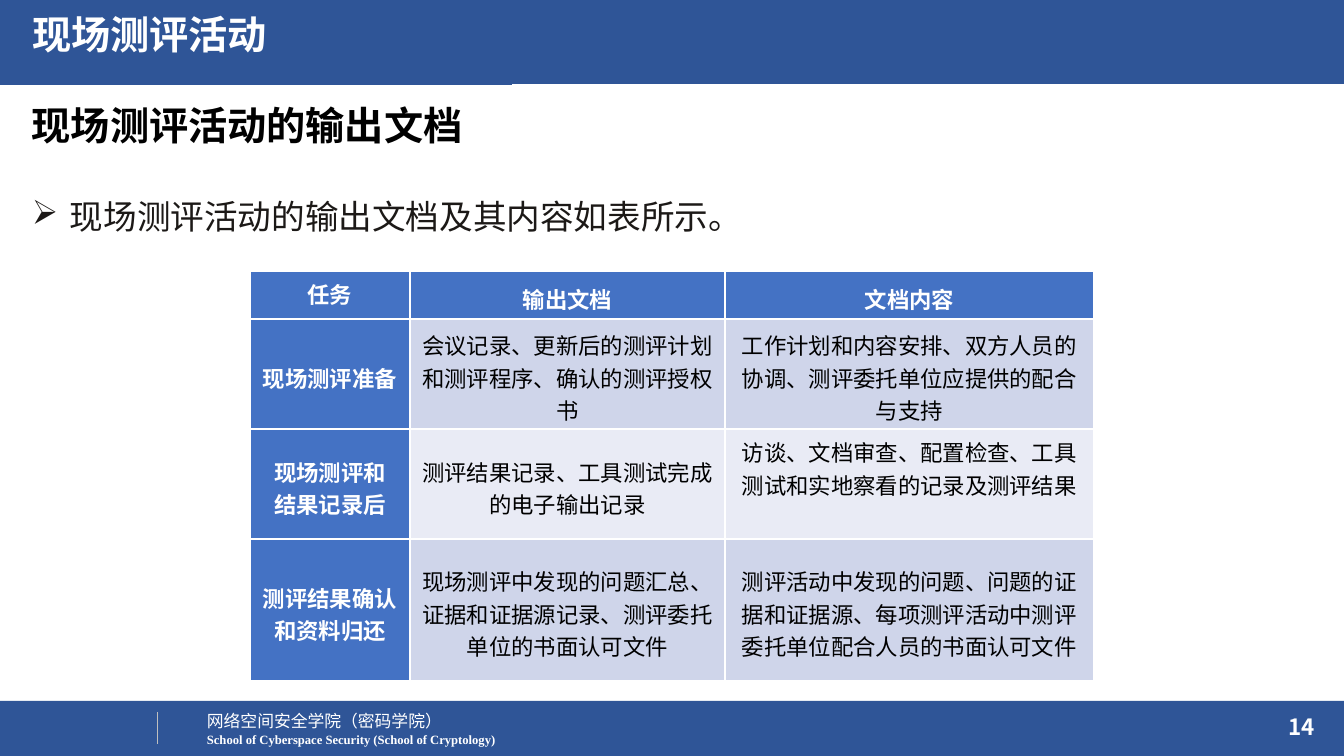
from lxml.etree import SubElement
from pptx import Presentation
from pptx.dml.color import RGBColor
from pptx.enum.lang import MSO_LANGUAGE_ID as Language
from pptx.enum.shapes import MSO_CONNECTOR as Connector, MSO_SHAPE as Shape
from pptx.enum.text import MSO_ANCHOR as Anchor, PP_ALIGN as Align
from pptx.oxml.ns import qn
from pptx.util import Emu, Pt

TITLE = "现场测评活动"
HEADING = "现场测评活动的输出文档"
INTRO = "现场测评活动的输出文档及其内容如表所示。"
SCHOOL = "网络空间安全学院（密码学院）"
SCHOOL_ENGLISH = "School of Cyberspace Security (School of Cryptology)"
PAGE_NUMBER = "14"
TABLE_ROWS = [
    ("任务", "输出文档", "文档内容"),
    ("现场测评准备",
     "会议记录、更新后的测评计划和测评程序、确认的测评授权书",
     "工作计划和内容安排、双方人员的协调、测评委托单位应提供的配合与支持"),
    ("现场测评和\n结果记录后",
     "测评结果记录、工具测试完成的电子输出记录",
     "访谈、文档审查、配置检查、工具测试和实地察看的记录及测评结果"),
    ("测评结果确认和资料归还",
     "现场测评中发现的问题汇总、证据和证据源记录、测评委托单位的书面认可文件",
     "测评活动中发现的问题、问题的证据和证据源、每项测评活动中测评委托单位配合人员的书面认可文件"),
]
COLUMN_WIDTHS = (160, 315, 369)
ROW_HEIGHTS = (48, 110, 110, 142)
TOP_ANCHORED = {(0, 0), (2, 2)}

NAVY = RGBColor(0x2F, 0x55, 0x97)
BLUE = RGBColor(0x44, 0x72, 0xC4)
BAND_DARK = RGBColor(0xCF, 0xD5, 0xEA)
BAND_LIGHT = RGBColor(0xE9, 0xEB, 0xF5)
RULE_GREY = RGBColor(0xBF, 0xBF, 0xBF)
INK = RGBColor(0x1C, 0x19, 0x17)
BLACK = RGBColor(0, 0, 0)
WHITE = RGBColor(255, 255, 255)
NOTO, CALIBRI, TIMES = "Noto Sans CJK SC", "Calibri", "Times New Roman"

SLIDE_WIDTH, SLIDE_HEIGHT = 1344, 756
EMU_PER_PX = 12192000 / SLIDE_WIDTH


def px(length):
    return Emu(round(length * EMU_PER_PX))


def style(para, size, color, bold=False, latin=NOTO, asian=NOTO, align=Align.LEFT):
    para.alignment = align
    font = para.font
    font.size, font.bold, font.name = Pt(size), bold, latin
    font.color.rgb = color
    font.language_id = Language.SIMPLIFIED_CHINESE
    SubElement(para._p.pPr.find(qn("a:defRPr")), qn("a:ea"), typeface=asian)


def add_band(page, left, top, width, height):
    band = page.shapes.add_shape(Shape.RECTANGLE, *map(px, (left, top, width, height)))
    band.shadow.inherit = False
    band.fill.solid()
    band.fill.fore_color.rgb = NAVY
    band.line.fill.background()


def add_text(page, text, left, top, width, height, wrap=True):
    box = page.shapes.add_textbox(*map(px, (left, top, width, height)))
    box.text_frame.word_wrap = wrap
    box.text_frame.text = text
    return box.text_frame.paragraphs[0]


def add_footer_rule(page):
    rule = page.shapes.add_connector(Connector.STRAIGHT, px(157), px(712), px(157), px(744))
    rule.line.color.rgb = RULE_GREY
    rule.line.width = Pt(0.5)
    SubElement(rule._element.spPr, qn("a:effectLst"))


def format_title(title):
    title.left, title.top, title.width, title.height = map(px, (22, 11, 849, 62))
    title.text_frame.text = TITLE
    title.text_frame.vertical_anchor = Anchor.TOP
    para = title.text_frame.paragraphs[0]
    para.line_spacing = 0.9
    style(para, 28, WHITE, bold=True)


def add_intro(page):
    para = add_text(page, INTRO, 22, 171, 1300, 80)
    para.line_spacing = 1.5
    props = para._p.get_or_add_pPr()
    props.set("marL", str(px(38)))
    props.set("indent", str(px(-38)))
    SubElement(props, qn("a:buChar"), char="➢")
    style(para, 24, INK, latin=CALIBRI, asian=CALIBRI)


def add_output_table(page):
    frame = page.shapes.add_table(
        len(TABLE_ROWS), len(COLUMN_WIDTHS), px(250), px(271),
        px(sum(COLUMN_WIDTHS)), px(sum(ROW_HEIGHTS)))
    table = frame.table
    table.first_col = True
    for column, width in zip(table.columns, COLUMN_WIDTHS):
        column.width = px(width)
    for r, (texts, height) in enumerate(zip(TABLE_ROWS, ROW_HEIGHTS)):
        table.rows[r].height = px(height)
        for c, text in enumerate(texts):
            cell = table.cell(r, c)
            is_header = r == 0 or c == 0
            cell.fill.solid()
            cell.fill.fore_color.rgb = (
                BLUE if is_header else BAND_DARK if r % 2 else BAND_LIGHT)
            cell.margin_left = cell.margin_right = cell.margin_top = px(7)
            cell.margin_bottom = 0
            cell.vertical_anchor = Anchor.TOP if (r, c) in TOP_ANCHORED else Anchor.MIDDLE
            cell.text_frame.text = text
            for para in cell.text_frame.paragraphs:
                style(para, 16, WHITE if is_header else BLACK, bold=is_header,
                      latin=CALIBRI, align=Align.CENTER)


def main():
    deck = Presentation()
    deck.slide_width, deck.slide_height = px(SLIDE_WIDTH), px(SLIDE_HEIGHT)
    page = deck.slides.add_slide(deck.slide_layouts[5])

    add_band(page, 0, 701, SLIDE_WIDTH, 55)
    add_band(page, 0, 0, SLIDE_WIDTH, 84)
    add_band(page, 0, 0, 512, 85)
    title = page.shapes.title
    page.shapes._spTree.append(title._element)  # bring the title in front of the bands
    format_title(title)

    style(add_text(page, SCHOOL, 197, 706, 258, 30, wrap=False), 12, WHITE)
    style(add_text(page, SCHOOL_ENGLISH, 197, 727, 311, 25, wrap=False),
          9, WHITE, bold=True, latin=TIMES)
    add_footer_rule(page)
    number = add_text(page, PAGE_NUMBER, 1023, 708, 302, 40)
    style(number, 16, WHITE, bold=True, align=Align.RIGHT)

    heading = add_text(page, HEADING, 22, 102, 1300, 62)
    heading.line_spacing = 0.9
    style(heading, 28, BLACK, bold=True)
    add_intro(page)
    add_output_table(page)
    deck.save("out.pptx")


if __name__ == "__main__":
    main()
